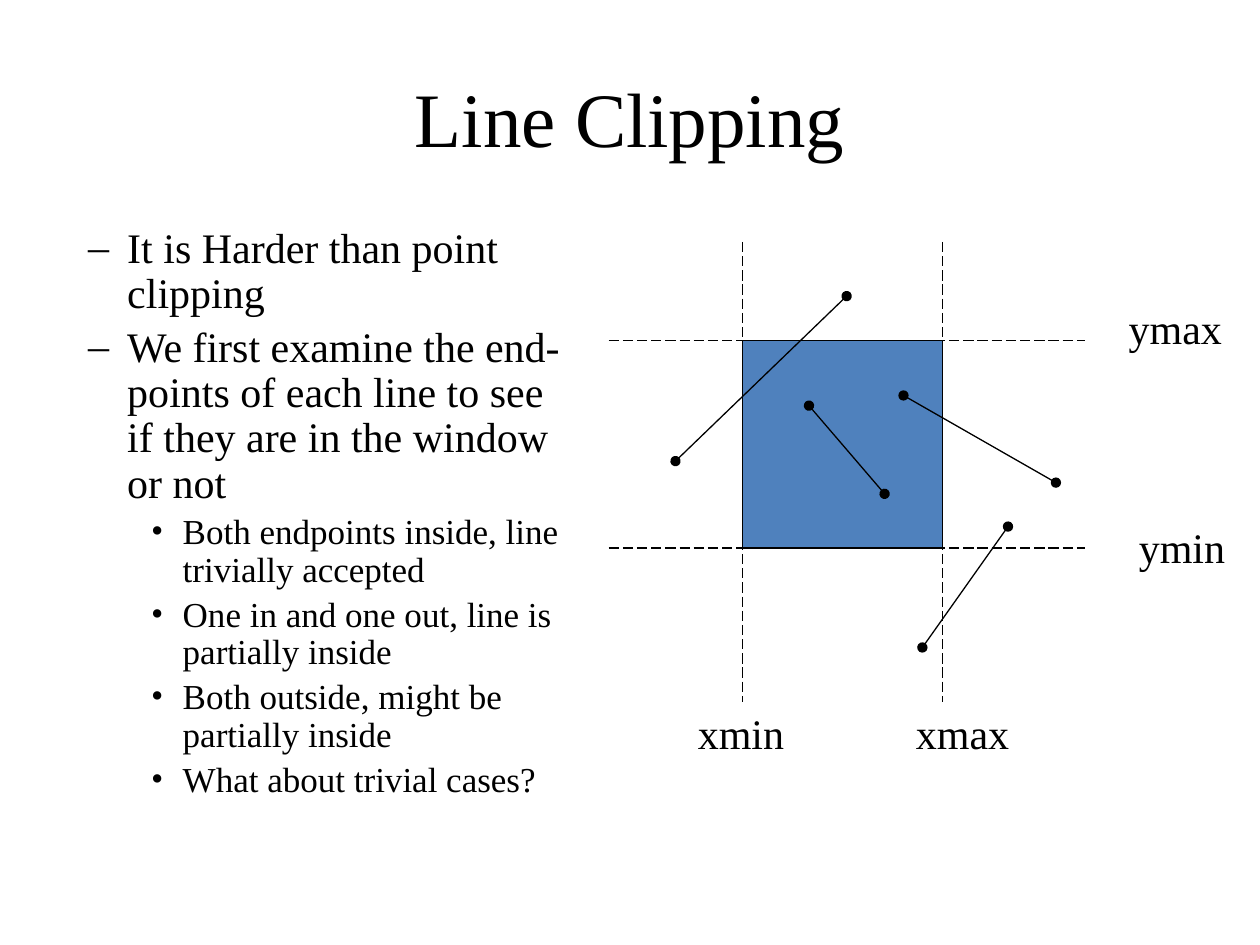
from dataclasses import dataclass

from lxml.etree import SubElement
from pptx import Presentation
from pptx.dml.color import RGBColor
from pptx.enum.dml import MSO_LINE
from pptx.enum.shapes import MSO_CONNECTOR, MSO_SHAPE
from pptx.enum.text import MSO_ANCHOR, MSO_AUTO_SIZE, PP_ALIGN
from pptx.oxml.ns import qn
from pptx.util import Pt


@dataclass(frozen=True)
class Theme:
    font: str = "Times New Roman"
    ink: RGBColor = RGBColor(0, 0, 0)
    window: RGBColor = RGBColor(0x4F, 0x81, 0xBD)
    title: int = 44
    text: int = 24
    detail: int = 20
    line: float = 0.75


THEME = Theme()

# level: (bullet, type size, left margin, hanging indent)
LEVELS = {
    1: ("–", THEME.text, 65.5, -22.3),
    2: ("•", THEME.detail, 97.2, -18),
}

POINTS = [
    (1, "It is Harder than point clipping"),
    (1, "We first examine the end-points of each line to see if they are "
        "in the window or not"),
    (2, "Both endpoints inside, line trivially accepted"),
    (2, "One in and one out, line is partially inside"),
    (2, "Both outside, might be partially inside"),
    (2, "What about trivial cases?"),
]

# Diagram positions, in points from the top left of its box
X_EDGES = (76.3, 190.8)
Y_EDGES = (56.2, 175)
SEGMENTS = [
    (114.5, 93.6, 157.7, 144),
    (136, 31, 38.2, 125.3),
    (255.6, 137.6, 168.5, 87.8),
    (228.2, 162.7, 179.3, 231.8),
]
LABELS = [
    ("ymin", 295.9, 156.3, 64),
    ("ymax", 290.1, 31, 67.7),
    ("xmin", 43.9, 262.8, 64),
    ("xmax", 168.5, 262.8, 67.7),
]


def apply(obj, formats):
    for name, value in formats.items():
        setattr(obj, name, value)


def set_font(font, size):
    apply(font, {"name": THEME.font, "size": Pt(size)})
    font.color.rgb = THEME.ink


def place(sp, box):
    apply(sp, dict(zip(("left", "top", "width", "height"), map(Pt, box))))


def add_title(sp, box, text):
    place(sp, box)
    tf = sp.text_frame
    tf.text = text
    tf.vertical_anchor = MSO_ANCHOR.MIDDLE
    p = tf.paragraphs[0]
    p.alignment = PP_ALIGN.CENTER
    set_font(p.runs[0].font, THEME.title)


def set_bullet(p, char, margin, indent):
    pPr = p._p.get_or_add_pPr()
    pPr.set("marL", str(Pt(margin)))
    pPr.set("indent", str(Pt(indent)))
    SubElement(pPr, qn("a:buFont"), typeface=THEME.font)
    SubElement(pPr, qn("a:buChar"), char=char)


def add_points(sp, box, points):
    place(sp, box)
    tf = sp.text_frame
    tf.auto_size = MSO_AUTO_SIZE.NONE
    for i, (level, text) in enumerate(points):
        p = tf.add_paragraph() if i else tf.paragraphs[0]
        char, size, margin, indent = LEVELS[level]
        set_bullet(p, char, margin, indent)
        apply(p, {"level": level, "line_spacing": 0.9,
                  "space_before": Pt(0.2 * size if i else 0)})
        r = p.add_run()
        r.text = text
        set_font(r.font, size)


def add_line(shapes, ends, dashed=False, dots=False):
    cxn = shapes.add_connector(MSO_CONNECTOR.STRAIGHT, *map(Pt, ends))
    cxn.line.color.rgb = THEME.ink
    cxn.line.width = Pt(THEME.line)
    if dashed:
        cxn.line.dash_style = MSO_LINE.LONG_DASH
    if dots:
        for end in ("a:headEnd", "a:tailEnd"):
            SubElement(cxn.line._get_or_add_ln(), qn(end), type="oval")
    SubElement(cxn._element.spPr, qn("a:effectLst"))


def add_label(shapes, box, text):
    sp = shapes.add_textbox(*map(Pt, box))
    tf = sp.text_frame
    apply(tf, {"text": text, "word_wrap": False,
               "auto_size": MSO_AUTO_SIZE.SHAPE_TO_FIT_TEXT})
    set_font(tf.paragraphs[0].runs[0].font, THEME.text)


def add_clipping_diagram(slide, box):
    left, top, width, height = box
    shapes = slide.shapes.add_group_shape().shapes

    for y in Y_EDGES:
        add_line(shapes, (left, top + y, left + width, top + y), dashed=True)
    for x in X_EDGES:
        add_line(shapes, (left + x, top, left + x, top + height), dashed=True)

    (x1, x2), (y1, y2) = X_EDGES, Y_EDGES
    window = shapes.add_shape(MSO_SHAPE.RECTANGLE, Pt(left + x1), Pt(top + y1),
                              Pt(x2 - x1), Pt(y2 - y1))
    window.shadow.inherit = False
    window.fill.solid()
    window.fill.fore_color.rgb = THEME.window
    window.line.color.rgb = THEME.ink
    window.line.width = Pt(THEME.line)

    for text, x, y, w in LABELS:
        add_label(shapes, (left + x, top + y, w, 36), text)
    for xa, ya, xb, yb in SEGMENTS:
        add_line(shapes, (left + xa, top + ya, left + xb, top + yb), dots=True)


def main():
    prs = Presentation()
    apply(prs, {"slide_width": Pt(720), "slide_height": Pt(540)})
    slide = prs.slides.add_slide(prs.slide_layouts[1])
    title, body = slide.placeholders
    add_title(title, (36, 21.6, 648, 90), "Line Clipping")
    add_points(body, (0, 126, 329.8, 356.4), POINTS)
    add_clipping_diagram(slide, (347.8, 138.2, 272.2, 262.8))
    prs.save("out.pptx")


if __name__ == "__main__":
    main()
